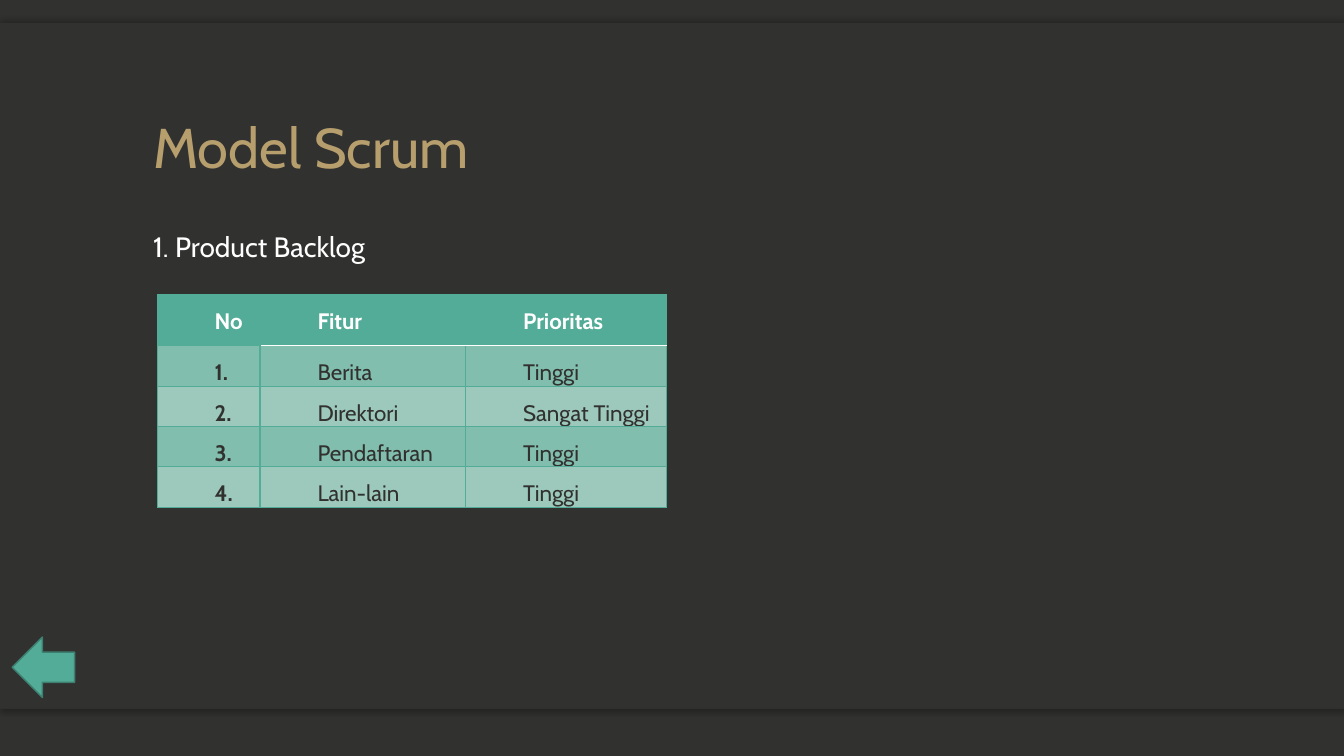
from dataclasses import dataclass

from lxml import etree
from pptx import Presentation
from pptx.dml.color import RGBColor
from pptx.enum import shapes, text
from pptx.oxml import ns
from pptx.util import Inches, Pt


@dataclass(frozen=True)
class Theme:
    font: str = "Cabin"
    dark: str = "31312F"
    gold: str = "B79E6D"
    white: str = "FFFFFF"
    teal: str = "52AC97"
    teal_edge: str = "3D7F70"
    band_odd: str = "81BEAE"
    band_even: str = "9DC9BD"
    title_size: int = 40
    heading_size: int = 20
    table_size: int = 16


theme = Theme()


def write(frame, words, size, color, spacing, bold=False):
    frame.text = words
    paragraph = frame.paragraphs[0]
    paragraph.line_spacing = spacing
    font = paragraph.runs[0].font
    font.name, font.size, font.bold = theme.font, Pt(size), bold
    font.color.rgb = RGBColor.from_string(color)
    return paragraph


def add_color(parent, tag, color, **attributes):
    """Append a DrawingML element and return its colour element."""
    element = etree.SubElement(parent, ns.qn(tag), **attributes)
    holder = element
    if tag != "a:outerShdw":
        holder = etree.SubElement(element, ns.qn("a:solidFill"))
    return etree.SubElement(holder, ns.qn("a:srgbClr"), val=color)


prs = Presentation()
prs.slide_width, prs.slide_height = Inches(13.33), Inches(7.5)
slide = prs.slides.add_slide(prs.slide_layouts[6])
slide.background.fill.solid()
slide.background.fill.fore_color.rgb = RGBColor.from_string(theme.dark)

# Backdrop: two shadowed strips under one plain panel
for top, height, shadow_angle in ((6.54, 0.49, 90), (0.23, 0.49, 270), (0.23, 6.8, None)):
    panel = slide.shapes.add_shape(
        shapes.MSO_SHAPE.RECTANGLE, 0, Inches(top), prs.slide_width, Inches(height))
    panel.fill.solid()
    panel.fill.fore_color.rgb = RGBColor.from_string(theme.dark)
    panel.line.fill.background()
    panel.shadow.inherit = False
    if shadow_angle is not None:
        effects = panel._element.spPr.find(ns.qn("a:effectLst"))
        shade = add_color(effects, "a:outerShdw", "000000", blurRad=str(Pt(4)),
                          dist=str(Pt(2)), dir=str(shadow_angle * 60000), rotWithShape="0")
        etree.SubElement(shade, ns.qn("a:alpha"), val="25000")

# Title and heading
for words, top, width, height, anchor, size, color in (
    ("Model Scrum", 0.46, 10.5, 1.38, text.MSO_ANCHOR.BOTTOM, theme.title_size, theme.gold),
    ("1. Product Backlog", 2.08, 5, 0.76, text.MSO_ANCHOR.MIDDLE, theme.heading_size, theme.white),
):
    frame = slide.shapes.add_textbox(
        Inches(1.42), Inches(top), Inches(width), Inches(height)).text_frame
    frame.word_wrap = True
    frame.vertical_anchor = anchor
    write(frame, words, size, color, 0.9)

# Product backlog table
backlog = (
    ("No", "Fitur", "Prioritas"),
    ("1.", "Berita", "Tinggi"),
    ("2.", "Direktori", "Sangat Tinggi"),
    ("3.", "Pendaftaran", "Tinggi"),
    ("4.", "Lain-lain", "Tinggi"),
)
table = slide.shapes.add_table(
    len(backlog), 3, Inches(1.56), Inches(2.92), Inches(5.05), Inches(2.11)).table
for column, width in zip(table.columns, (1.02, 2.04, 1.99)):
    column.width = Inches(width)
for r, entries in enumerate(backlog):
    header = r == 0
    table.rows[r].height = Inches(0.51 if header else 0.4)
    band = theme.teal if header else (theme.band_odd if r % 2 else theme.band_even)
    for c, entry in enumerate(entries):
        cell = table.cell(r, c)
        cell.margin_left = cell.margin_right = Inches(0.07)
        cell.margin_top = cell.margin_bottom = 0
        paragraph = write(cell.text_frame, entry, theme.table_size,
                          theme.white if header else theme.dark, 1.5, header or c == 0)
        paragraph.alignment = text.PP_ALIGN.JUSTIFY if c else text.PP_ALIGN.LEFT
        paragraph._p.get_or_add_pPr().set("marL", str(Inches(0.5)))

        # Teal grid, heavier after the number column, white rule under the header
        borders = {side: (theme.teal, 0.5) for side in "LRTB"}
        if not header and c < 2:
            borders["R" if c == 0 else "L"] = (theme.teal, 1)
        if c > 0 and r < 2:
            borders["B" if header else "T"] = (theme.white, 1)
        for side, (color, weight) in borders.items():
            add_color(cell._tc.get_or_add_tcPr(), f"a:ln{side}", color, w=str(Pt(weight)))
        cell.fill.solid()
        cell.fill.fore_color.rgb = RGBColor.from_string(band)

# Back arrow
back = slide.shapes.add_shape(
    shapes.MSO_SHAPE.LEFT_ARROW, Inches(0.12), Inches(6.32), Inches(0.62), Inches(0.6))
back.shadow.inherit = False
back.fill.solid()
back.fill.fore_color.rgb = RGBColor.from_string(theme.teal)
back.line.color.rgb = RGBColor.from_string(theme.teal_edge)
back.line.width = Pt(1)

prs.save("out.pptx")
